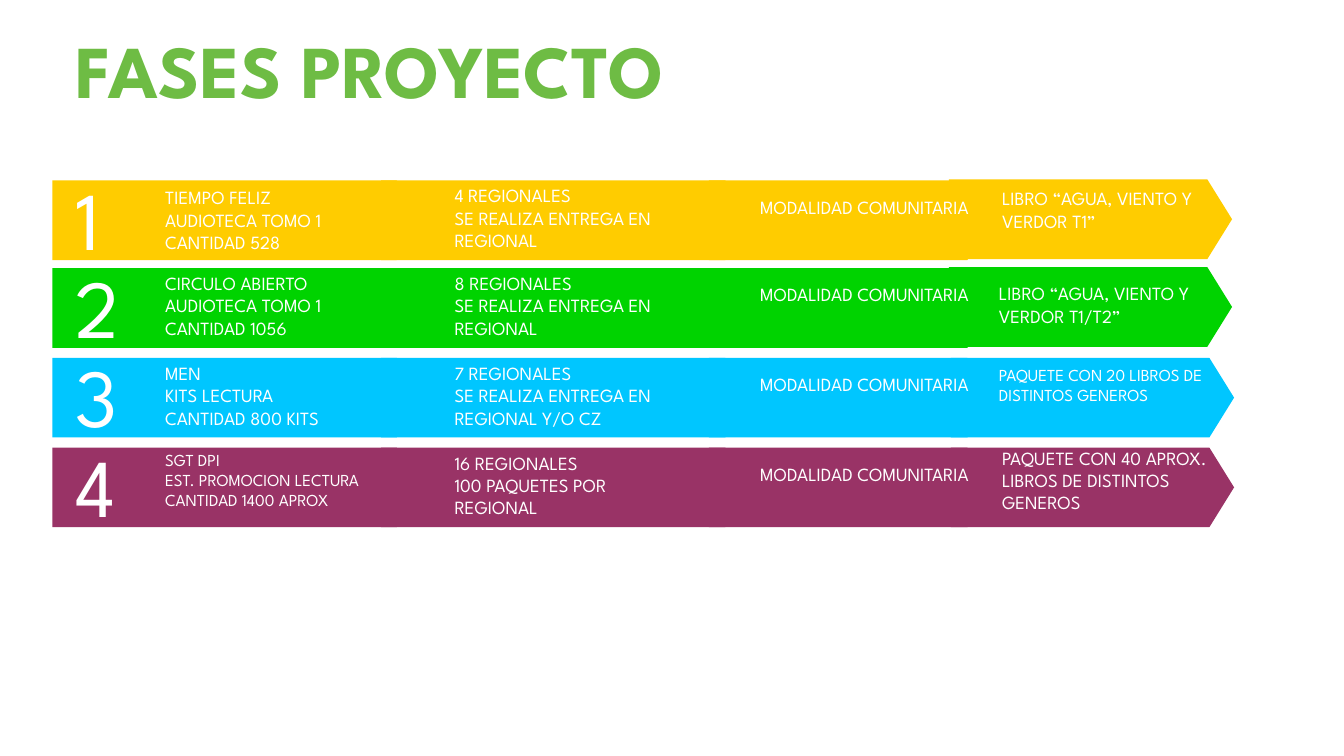
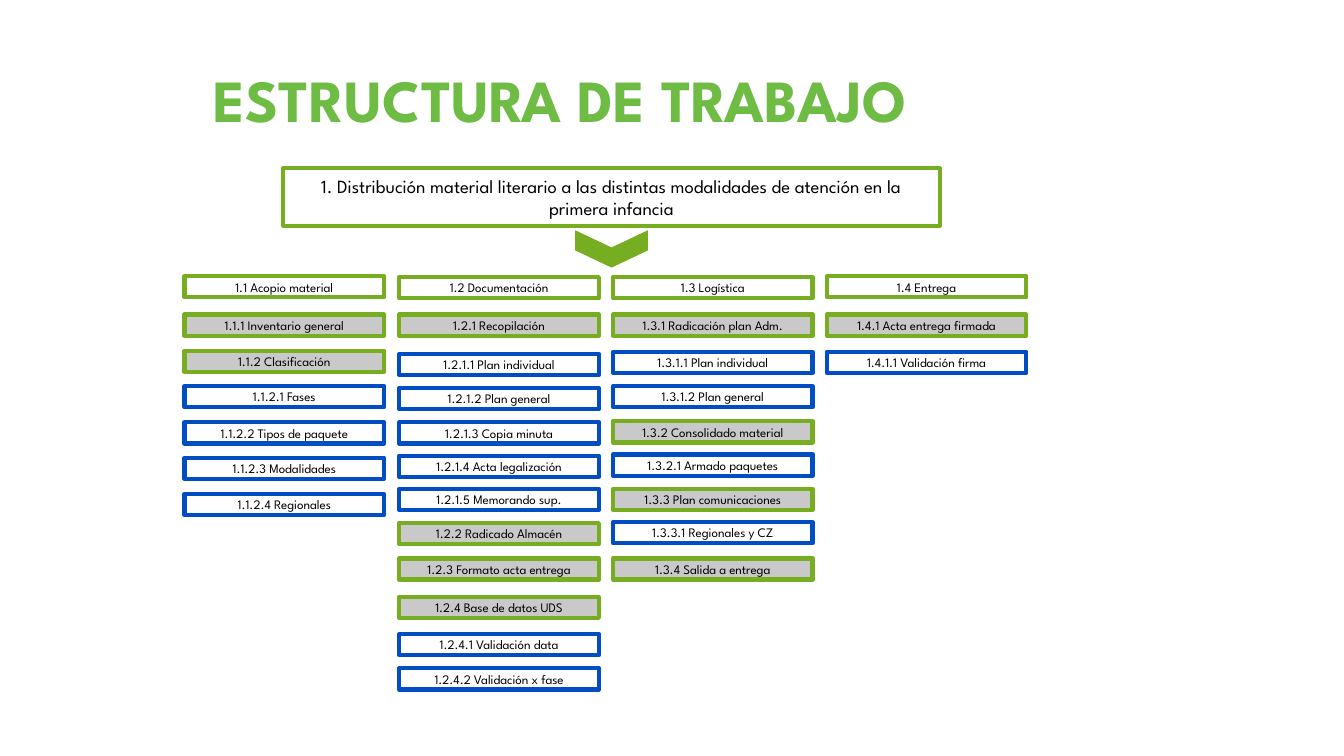
from pptx import Presentation
from pptx import util as u
from pptx.dml.color import RGBColor
from pptx.enum import shapes, text

PX = 9144  # EMU per px, 100 px to the inch
FONT = "League Spartan"
COLORS = {
    "title": "6EBC44", "white": "FFFFFF", "black": "000000",
    "yellow": "FFCC00", "green": "00D300", "sky": "00C6FF", "plum": "993366",
    "branch": "77AD21", "task": "004DC4", "grey": "C9C9C9",
}
ROW_HEIGHT = 79
ARROWS = [(0, 366), (326, 366), (651, 281), (889, 281)]  # left in row, width
NODE_WIDTH, NODE_HEIGHT = 198, 21

# Offsets of the details and the books are px below the top of the row.
PHASES = [
    {"color": "yellow", "top": 179,
     "details": ("TIEMPO FELIZ\nAUDIOTECA TOMO 1\nCANTIDAD 528", 1, 13.3),
     "regions": "4 REGIONALES\nSE REALIZA ENTREGA EN REGIONAL",
     "books": ("LIBRO “AGUA, VIENTO Y VERDOR T1”", 932, 2, 13.3), "tip": (-1, 0)},
    {"color": "green", "top": 266,
     "details": ("CIRCULO ABIERTO\nAUDIOTECA TOMO 1\nCANTIDAD 1056", -1, 13.3),
     "regions": "8 REGIONALES\nSE REALIZA ENTREGA EN REGIONAL",
     "books": ("LIBRO “AGUA, VIENTO Y VERDOR T1/T2”", 929, 9, 13.3), "tip": (-1, 0)},
    {"color": "sky", "top": 355,
     "details": ("MEN\nKITS LECTURA\nCANTIDAD 800 KITS", -1, 13.3),
     "regions": "7 REGIONALES\nSE REALIZA ENTREGA EN REGIONAL Y/O CZ",
     "books": ("PAQUETE CON 20 LIBROS DE DISTINTOS GENEROS", 929, 2, 12), "tip": (0, 2)},
    {"color": "plum", "top": 444,
     "details": ("SGT DPI\nEST. PROMOCION LECTURA\nCANTIDAD 1400 APROX", -3, 12),
     "regions": "16 REGIONALES\n100 PAQUETES POR REGIONAL",
     "books": ("PAQUETE CON 40 APROX. LIBROS DE DISTINTOS GENEROS", 932, -6, 13.3),
     "tip": (0, 2)},
]

# Left of each column, then the top and the label of each node.
WORK_COLUMNS = [
    (183, [(274, "1.1 Acopio material"), (312, "1.1.1 Inventario general"),
           (348, "1.1.2 Clasificación"), (383, "1.1.2.1 Fases"),
           (419, "1.1.2.2 Tipos de paquete"), (454, "1.1.2.3 Modalidades"),
           (490, "1.1.2.4 Regionales")]),
    (396, [(275, "1.2 Documentación"), (312, "1.2.1 Recopilación"),
           (351, "1.2.1.1 Plan individual"), (385, "1.2.1.2 Plan general"),
           (419, "1.2.1.3 Copia minuta"), (452, "1.2.1.4 Acta legalización"),
           (485, "1.2.1.5 Memorando sup."), (519, "1.2.2 Radicado Almacén"),
           (554, "1.2.3 Formato acta entrega"), (592, "1.2.4 Base de datos UDS"),
           (629, "1.2.4.1 Validación data"), (663, "1.2.4.2 Validación x fase")]),
    (608, [(275, "1.3 Logística"), (312, "1.3.1 Radicación plan Adm."),
           (349, "1.3.1.1 Plan individual"), (383, "1.3.1.2 Plan general"),
           (418, "1.3.2 Consolidado material"), (451, "1.3.2.1 Armado paquetes"),
           (485, "1.3.3 Plan comunicaciones"), (518, "1.3.3.1 Regionales y CZ"),
           (554, "1.3.4 Salida a entrega")]),
    (820, [(274, "1.4 Entrega"), (312, "1.4.1 Acta entrega firmada"),
           (349, "1.4.1.1 Validación firma")]),
]
# Fill and line by the number of levels in the node's code.
NODE_STYLES = {1: (None, "branch"), 2: (None, "branch"),
               3: ("grey", "branch"), 4: ("white", "task")}


def emu(box):
    return [u.Emu(length * PX) for length in box]


def rgb(name):
    return RGBColor.from_string(COLORS[name])


def write(shape, content, size, color, bold=False, align=None, spacing=None):
    """Put styled text in a shape, one paragraph a line."""
    frame = shape.text_frame
    frame.text = content
    frame.word_wrap = True
    for paragraph in frame.paragraphs:
        paragraph.alignment = align
        paragraph.line_spacing = spacing
        for run in paragraph.runs:
            run.font.name = FONT
            run.font.size = u.Pt(size)
            run.font.bold = bold
            run.font.color.rgb = rgb(color)


def add_text(slide, box, content, size, color="white", **style):
    write(slide.shapes.add_textbox(*emu(box)), content, size, color, **style)


def add_title(slide, box, content, size):
    add_text(slide, box, content, size, "title", bold=True, spacing=0.9)


def add_preset(slide, preset, box, fill=None, line=None, adjustment=None):
    shape = slide.shapes.add_shape(preset, *emu(box))
    shape.shadow.inherit = False
    if fill:
        shape.fill.solid()
        shape.fill.fore_color.rgb = rgb(fill)
    else:
        shape.fill.background()
    if line:
        shape.line.color.rgb = rgb(line)
        shape.line.width = u.Pt(3)
    else:
        shape.line.fill.background()
    if adjustment:
        shape.adjustments[0] = adjustment
    return shape


def add_node(slide, box, label, size):
    """Add an outlined box styled by the depth of its code."""
    code = label.split()[0].strip(".")
    fill, line = NODE_STYLES[len(code.split("."))]
    node = add_preset(slide, shapes.MSO_SHAPE.RECTANGLE, box, fill, line)
    write(node, label, size, "black", align=text.PP_ALIGN.CENTER)
    node.text_frame.vertical_anchor = text.MSO_ANCHOR.MIDDLE


def add_phase_row(slide, left, number, phase):
    top = phase["top"]
    for index, (offset, width) in reversed(list(enumerate(ARROWS))):
        rise, shift = phase["tip"] if index == len(ARROWS) - 1 else (0, 0)
        box = (left + offset + shift, top + rise, width, ROW_HEIGHT)
        add_preset(slide, shapes.MSO_SHAPE.PENTAGON, box, phase["color"],
                   adjustment=0.31)
    details, details_drop, details_size = phase["details"]
    books, books_left, books_drop, books_size = phase["books"]
    for offset, drop, width, height, content, size in [
        (13, -17, 65, 109, str(number), 58.7),
        (102, details_drop, 264, 77, details, details_size),
        (389, -1, 240, 77, phase["regions"], 13.3),
        (692, 10, 240, 55, "MODALIDAD COMUNITARIA", 13.3),
        (books_left, books_drop, 240, 77, books, books_size),
    ]:
        add_text(slide, (left + offset, top + drop, width, height), content, size)


def add_work_column(slide, left, nodes):
    for top, label in nodes:
        add_node(slide, (left, top, NODE_WIDTH, NODE_HEIGHT), label, 9.3)


def build_phases(slide):
    add_title(slide, (65, 29, 730, 91), "FASES PROYECTO", 53.3)
    for number, phase in enumerate(PHASES, 1):
        add_phase_row(slide, 52, number, phase)


def build_work_structure(slide):
    add_title(slide, (202, 65, 929, 75), "ESTRUCTURA DE TRABAJO", 42.7)
    add_node(slide, (281, 167, 651, 57),
             "1. Distribución material literario a las distintas modalidades "
             "de atención en la primera infancia", 13.3)
    chevron = add_preset(slide, shapes.MSO_SHAPE.CHEVRON, (588, 211, 37, 72),
                         "branch", adjustment=0.46)
    chevron.rotation = 90
    for left, nodes in WORK_COLUMNS:
        add_work_column(slide, left, nodes)


def main():
    presentation = Presentation()
    presentation.slide_width, presentation.slide_height = emu((1333, 750))
    for build in (build_phases, build_work_structure):
        build(presentation.slides.add_slide(presentation.slide_layouts[6]))
    presentation.save("out.pptx")


if __name__ == "__main__":
    main()
